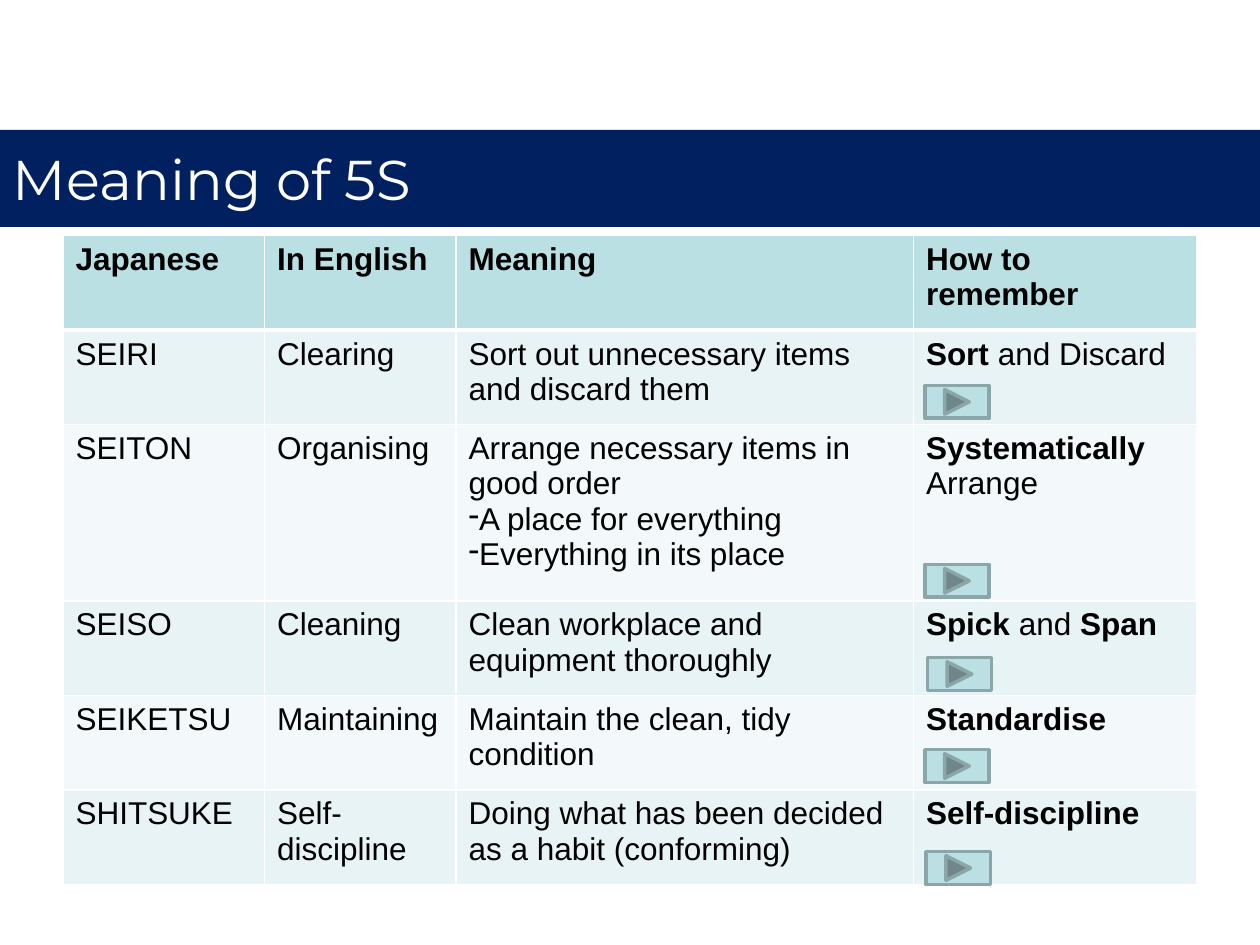
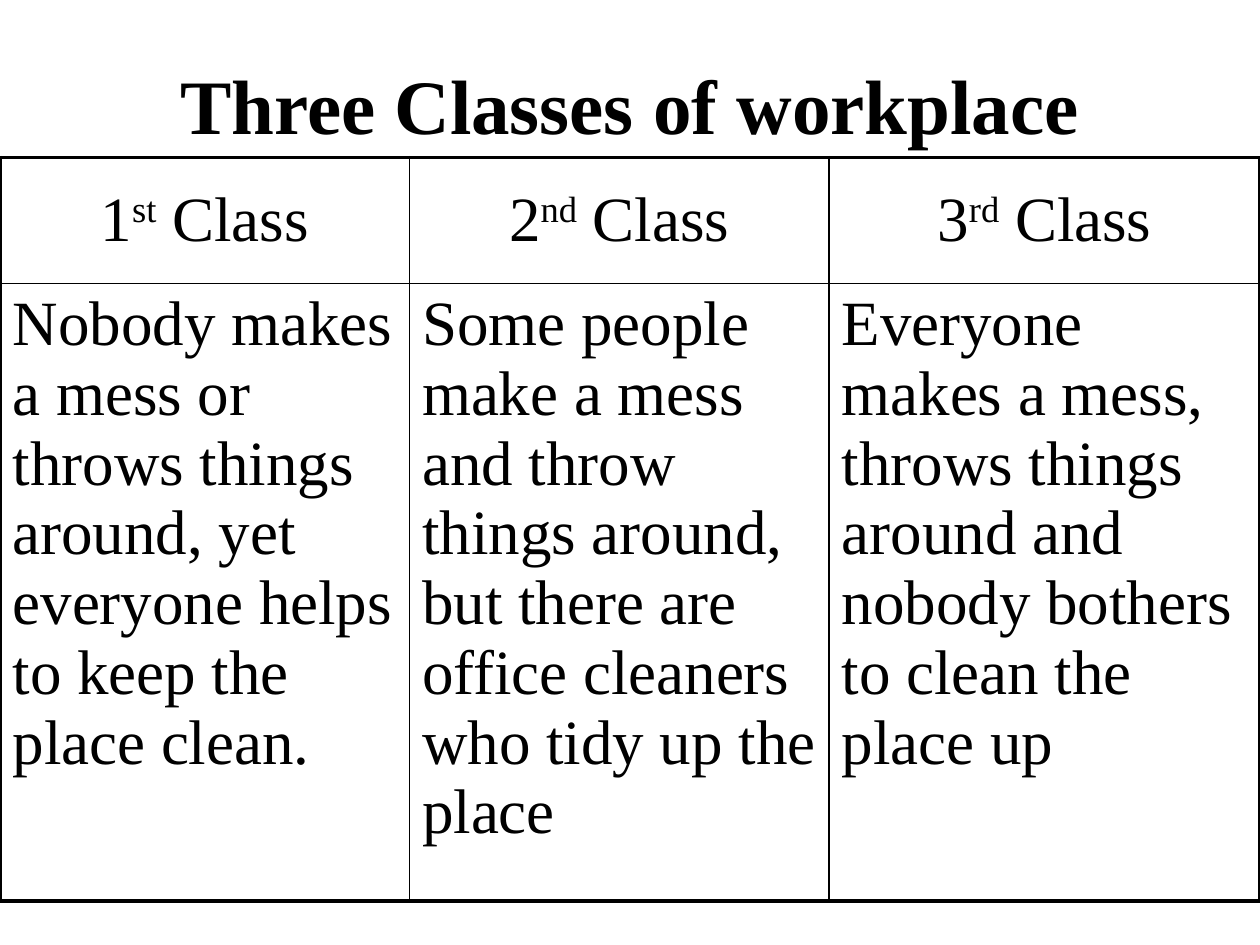
import dataclasses
import lxml.etree
import pptx
import pptx.dml.color
import pptx.enum.shapes
import pptx.enum.text
import pptx.oxml.ns
import pptx.util

MEANING = {
    "title": "Meaning of 5S",
    "cols": [1.6, 1.52, 3.63, 2.25],
    "rows": [0.75, 0.75, 1.4, 0.75, 0.75, 0.75],
    "cells": [
        ["*Japanese*", "*In English*", "*Meaning*", "*How to remember*"],
        ["SEIRI", "Clearing", "Sort out unnecessary items and discard them",
         "*Sort *and Discard"],
        ["SEITON", "Organising",
         "Arrange necessary items in good order\n-A place for everything\n-Everything in its place",
         "*Systematically *Arrange"],
        ["SEISO", "Cleaning", "Clean workplace and equipment thoroughly", "*Spick* and *Span*"],
        ["SEIKETSU", "Maintaining", "Maintain the clean, tidy condition", "*Standardise*"],
        ["SHITSUKE", "Self-discipline", "Doing what has been decided as a habit (conforming)",
         "*Self-discipline*"],
    ],
}
BUTTONS = [(7.34, 3.06), (7.34, 4.48), (7.36, 5.22), (7.34, 5.95), (7.35, 6.76)]

CLASSES = {
    "title": "Three Classes of workplace",
    "cols": [3.25, 3.33, 3.42],
    "rows": [1, 4.9],
    "cells": [
        ["1^st^ Class", "2^nd^ Class", "3^rd^ Class"],
        ["Nobody makes a mess or throws things around, yet everyone helps to keep the place clean.",
         "Some people make a mess and throw things around, "
         "but there are office cleaners who tidy up the place",
         "Everyone makes a mess, throws things around and nobody bothers to clean the place up"],
    ],
}


@dataclasses.dataclass
class Theme:
    navy: str = "002060"
    aqua: str = "BBE0E3"
    bands: tuple = ("F3F9FA", "E7F3F4")
    edge: str = "8AA6A8"
    white: str = "FFFFFF"
    black: str = "000000"
    head: tuple = ("Montserrat", 32)
    sans: tuple = ("Arial", 18)
    bold: tuple = ("Times New Roman", 44)
    serif: tuple = ("Times New Roman", 36)


LOOK = Theme()
ALIGN = pptx.enum.text.PP_ALIGN
ANCHOR = pptx.enum.text.MSO_ANCHOR


def rgb(code):
    return pptx.dml.color.RGBColor.from_string(code)


def inch(*sizes):
    return [pptx.util.Inches(size) for size in sizes]


def style(para, face, tint):
    para.font.name, size = face
    para.font.size = pptx.util.Pt(size)
    para.font.color.rgb = rgb(tint)


def add(parent, tag, **attrs):
    return lxml.etree.SubElement(parent, pptx.oxml.ns.qn(tag), **attrs)


def write(para, text, face):
    props = para._p.get_or_add_pPr()
    if text.startswith("-"):
        props.set("marL", "0")
        props.set("indent", "0")
        add(props, "a:buChar", char="-")
        text = text[1:]
    style(para, face, LOOK.black)
    mark = "^" if "^" in text else "*"
    for spot, part in enumerate(text.split(mark)):
        if part:
            run = para.add_run()
            run.text = part
            if spot % 2 and mark == "*":
                run.font.bold = True
            elif spot % 2:
                run._r.get_or_add_rPr().set("baseline", "30000")


def border(cell, tint, widths):
    props = cell._tc.get_or_add_tcPr()
    for side, width in zip("LRTB", widths):
        line = add(props, "a:ln" + side, w=str(pptx.util.Pt(width)))
        add(add(line, "a:solidFill"), "a:srgbClr", val=tint)


def title(slide, text, box, face, tint):
    shape = slide.shapes.title
    shape.left, shape.top, shape.width, shape.height = inch(*box)
    frame = shape.text_frame
    frame.text = text
    frame.word_wrap = True
    frame.auto_size = pptx.enum.text.MSO_AUTO_SIZE.NONE
    frame.vertical_anchor = ANCHOR.MIDDLE
    para = frame.paragraphs[0]
    para.alignment = ALIGN.LEFT
    style(para, face, tint)
    return shape


def table(slide, data, left, top, face):
    cols, rows = data["cols"], data["rows"]
    place = inch(left, top, sum(cols), sum(rows))
    grid = slide.shapes.add_table(len(rows), len(cols), *place).table
    grid.first_row = grid.horz_banding = False
    for col, width in zip(grid.columns, inch(*cols)):
        col.width = width
    for row, height in zip(grid.rows, inch(*rows)):
        row.height = height
    for y, texts in enumerate(data["cells"]):
        for x, text in enumerate(texts):
            cell = grid.cell(y, x)
            frame = cell.text_frame
            for spot, line in enumerate(text.split("\n")):
                para = frame.add_paragraph() if spot else frame.paragraphs[0]
                write(para, line, face)
            yield y, x, cell


def meaning(slide):
    band = title(slide, MEANING["title"], (0, 1.03, 10, 0.77), LOOK.head, LOOK.white)
    band.fill.solid()
    band.fill.fore_color.rgb = rgb(LOOK.navy)
    for y, x, cell in table(slide, MEANING, 0.5, 1.87, LOOK.sans):
        border(cell, LOOK.white, (1, 1, 3 if y == 1 else 1, 1 if y else 3))
        cell.fill.solid()
        cell.fill.fore_color.rgb = rgb(LOOK.bands[y % 2] if y else LOOK.aqua)
    kind = pptx.enum.shapes.MSO_SHAPE.ACTION_BUTTON_FORWARD_OR_NEXT
    for left, top in BUTTONS:
        button = slide.shapes.add_shape(kind, *inch(left, top, 0.51, 0.26))
        button.shadow.inherit = False
        button.fill.solid()
        button.fill.fore_color.rgb = rgb(LOOK.aqua)
        button.line.color.rgb = rgb(LOOK.edge)
        button.line.width = pptx.util.Pt(2)


def classes(slide):
    head = title(slide, CLASSES["title"], (1.33, 0.33, 7.83, 0.83), LOOK.bold, LOOK.black)
    frame = head.text_frame
    frame.paragraphs[0].font.bold = True
    frame.vertical_anchor = ANCHOR.TOP
    frame.margin_top = pptx.util.Inches(0.13)
    last = len(CLASSES["cols"]) - 1
    for y, x, cell in table(slide, CLASSES, 0, 1.25, LOOK.serif):
        outer = (x == 0, x == last, y == 0, y == 1)
        border(cell, LOOK.black, [2.25 if edge else 1 for edge in outer])
        cell.fill.background()
        if y == 0:
            cell.vertical_anchor = ANCHOR.MIDDLE
            cell.text_frame.paragraphs[0].alignment = ALIGN.CENTER


def main():
    deck = pptx.Presentation()
    deck.slide_width, deck.slide_height = inch(10, 7.5)
    for build in (meaning, classes):
        build(deck.slides.add_slide(deck.slide_layouts[5]))
    deck.save("out.pptx")


if __name__ == "__main__":
    main()
